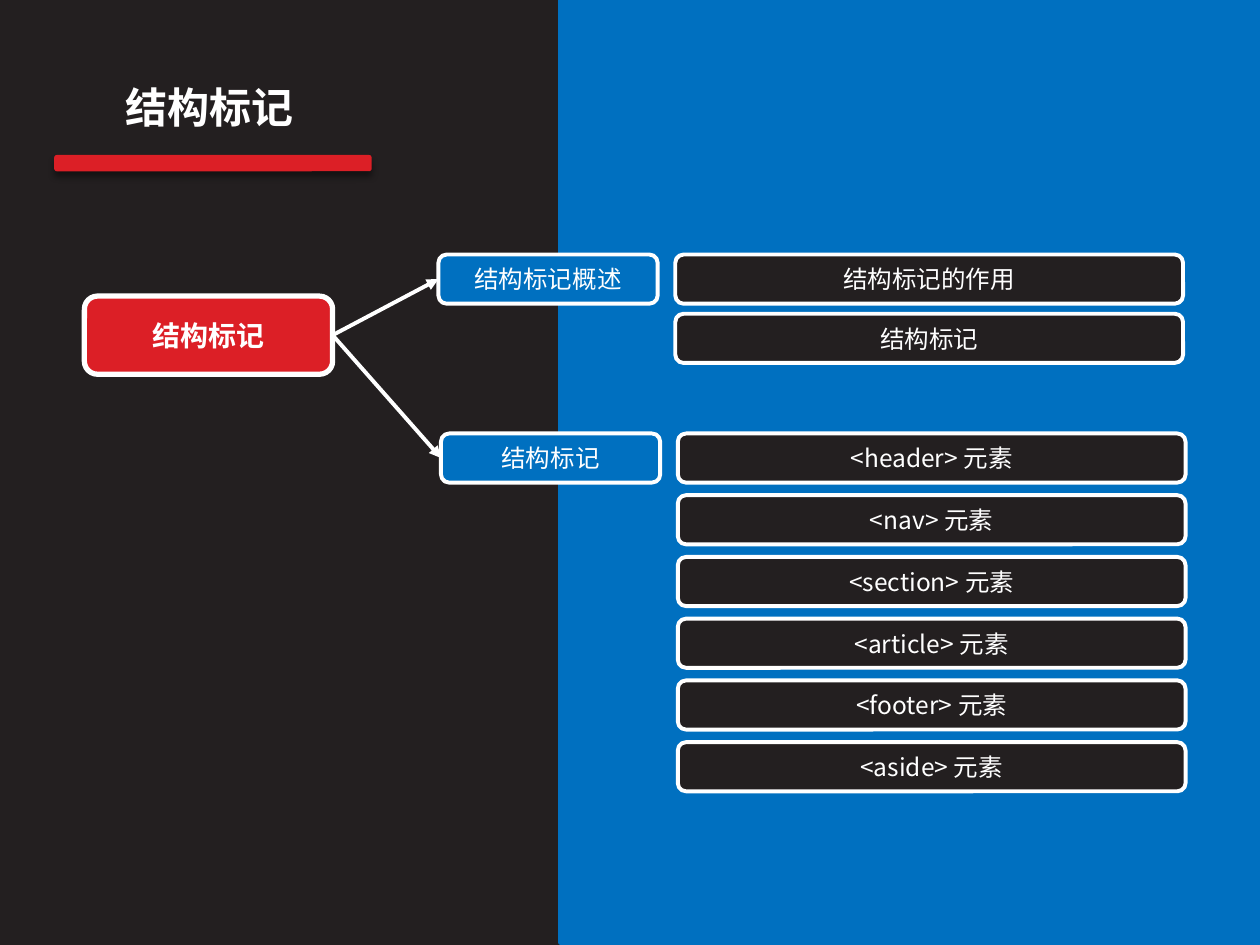
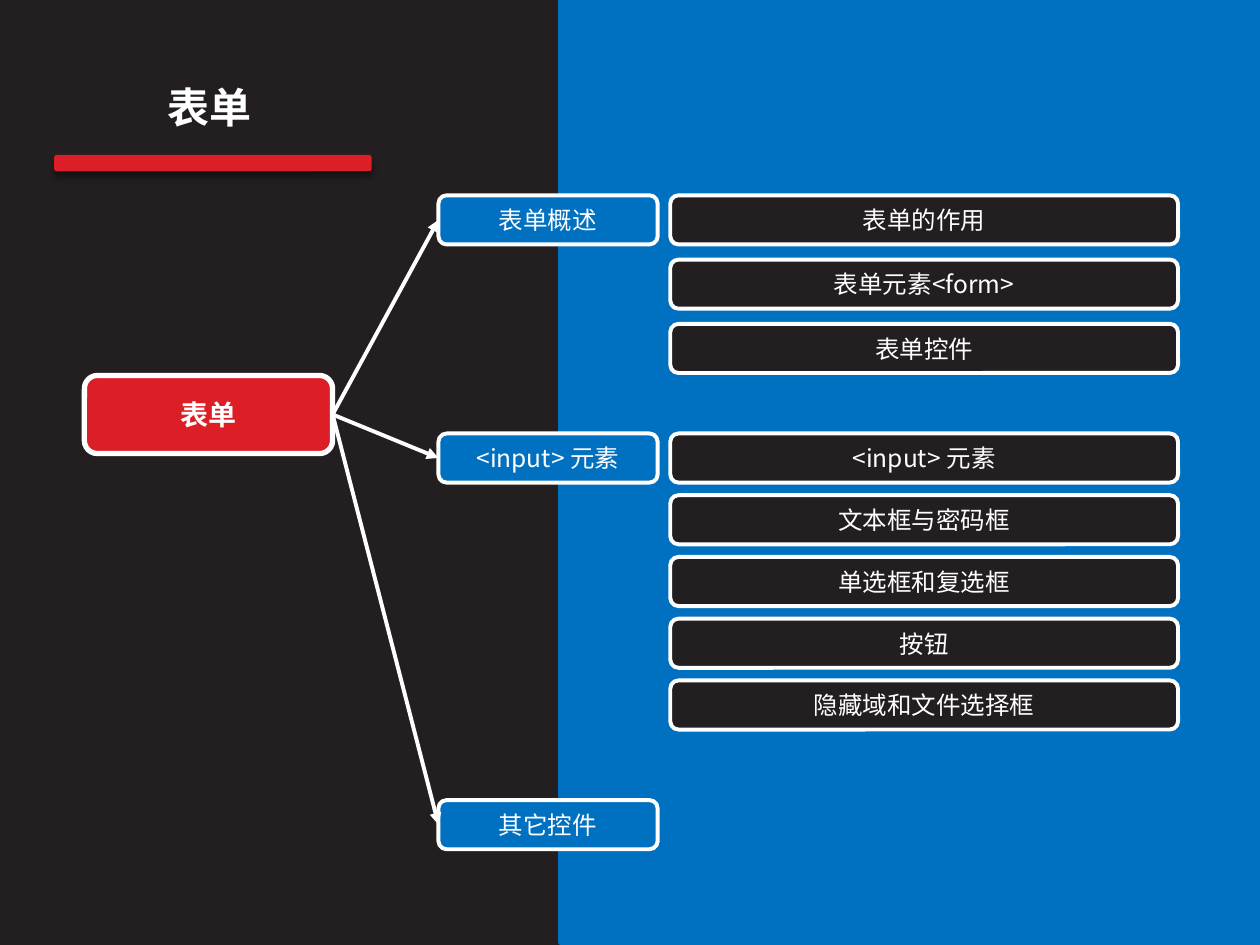
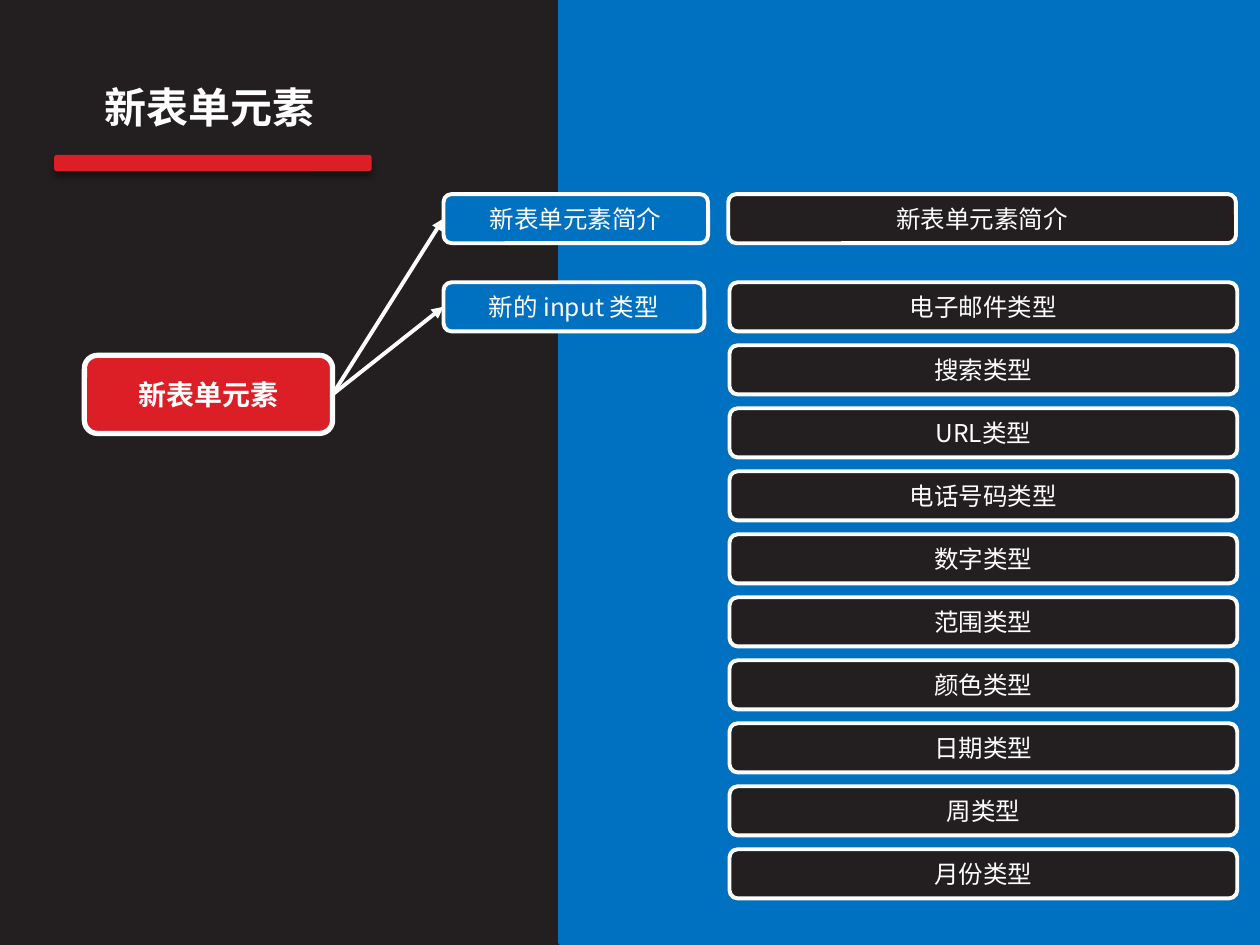
from dataclasses import dataclass

from lxml.etree import SubElement
from pptx import Presentation
from pptx.dml.color import RGBColor
from pptx.enum.shapes import MSO_CONNECTOR as Link, MSO_SHAPE as Shape
from pptx.enum.text import MSO_ANCHOR as Anchor, MSO_AUTO_SIZE as Fit, PP_ALIGN as Align
from pptx.oxml.ns import qn
from pptx.util import Inches, Pt

# Colours and fonts
DARK = RGBColor(0x23, 0x1F, 0x20)
BLUE = RGBColor(0x00, 0x70, 0xC0)
RED = RGBColor(0xDC, 0x1F, 0x26)
WHITE = RGBColor(0xFF, 0xFF, 0xFF)
FACE = "Noto Sans CJK SC"
LATIN = "Calibri"

# Sizes in inches
ROOT_X, ROOT_W, ROOT_H = 0.67, 1.97, 0.62
LEAF_W, ROW_H = 4.03, 0.39


@dataclass
class Branch:
    text: str
    x: float
    y: float
    width: float
    leaf_x: float = 0
    step: float = 0
    leaves: tuple = ()


class Deck:
    def __init__(self):
        self.prs = Presentation()
        self.prs.slide_width, self.prs.slide_height = Inches(10), Inches(7.5)
        fill = self.prs.slide_master.background.fill
        fill.solid()
        fill.fore_color.rgb = DARK
        self.slide = None

    def page(self, title):
        """Start a slide with its band, title and red bar."""
        self.slide = self.prs.slides.add_slide(self.prs.slide_layouts[5])
        self.shape(Shape.RECTANGLE, 4.45, 0, 5.55, 7.48, BLUE, BLUE, 3)
        head = self.slide.shapes.title
        head.left, head.top = Inches(0.28), Inches(0.6)
        head.width, head.height = Inches(2.77), Inches(0.71)
        head.text_frame.auto_size = Fit.NONE
        self.label(head, title, 24, True, Anchor.TOP)
        bar = self.shape(Shape.ROUNDED_RECTANGLE, 0.43, 1.23, 2.52, 0.13, RED)
        self.shade(bar)

    def shape(self, kind, x, y, w, h, fill, line=None, weight=0):
        item = self.slide.shapes.add_shape(
            kind, Inches(x), Inches(y), Inches(w), Inches(h))
        item.shadow.inherit = False
        item.fill.solid()
        item.fill.fore_color.rgb = fill
        if line is None:
            item.line.fill.background()
        else:
            item.line.color.rgb = line
            item.line.width = Pt(weight)
        return item

    def shade(self, item):
        """Cast a soft shadow straight down."""
        effects = item._element.spPr.find(qn("a:effectLst"))
        shadow = SubElement(effects, qn("a:outerShdw"), blurRad=str(Pt(4)),
                            dist=str(Pt(3)), dir="5400000", rotWithShape="0")
        color = SubElement(shadow, qn("a:srgbClr"), val="000000")
        SubElement(color, qn("a:alpha"), val="43000")

    def label(self, item, text, size, bold=False, anchor=Anchor.MIDDLE, face=FACE):
        frame = item.text_frame
        frame.word_wrap = True
        frame.vertical_anchor = anchor
        frame.text = text
        para = frame.paragraphs[0]
        para.alignment = Align.CENTER
        font = para.font
        font.name, font.size, font.bold = face, Pt(size), bold
        font.color.rgb = WHITE

    def root(self, text, y, face):
        item = self.shape(Shape.ROUNDED_RECTANGLE, ROOT_X, y, ROOT_W, ROOT_H,
                          RED, WHITE, 3)
        self.label(item, text, 16, True, face=face)
        return item

    def box(self, text, x, y, w, fill):
        item = self.shape(Shape.ROUNDED_RECTANGLE, x, y, w, ROW_H, fill, WHITE, 2.25)
        self.label(item, text, 14)
        return item

    def arrow(self, start, end):
        """Join the right side of one box to the left side of another."""
        link = self.slide.shapes.add_connector(Link.STRAIGHT, 0, 0, 0, 0)
        link.begin_connect(start, 3)
        link.end_connect(end, 1)
        link.line.color.rgb = WHITE
        link.line.width = Pt(2.25)
        props = link._element.spPr
        SubElement(props.find(qn("a:ln")), qn("a:tailEnd"), type="triangle")
        SubElement(props, qn("a:effectLst"))

    def tree(self, title, root_y, branches, face=FACE):
        """Draw a whole slide: root, branches and their leaves."""
        self.page(title)
        root = self.root(title, root_y, face)
        for b in branches:
            node = self.box(b.text, b.x, b.y, b.width, BLUE)
            self.arrow(root, node)
            for row, leaf in enumerate(b.leaves):
                self.box(leaf, b.leaf_x, b.y + row * b.step, LEAF_W, DARK)


def main():
    deck = Deck()

    # Structural markup
    deck.tree("结构标记", 2.35, [
        Branch("结构标记概述", 3.48, 2.02, 1.74, 5.36, 0.47,
               ("结构标记的作用", "结构标记")),
        Branch("结构标记", 3.5, 3.44, 1.74, 5.38, 0.49,
               [f"<{tag}> 元素" for tag in
                ("header", "nav", "section", "article", "footer", "aside")]),
    ], LATIN)

    # Forms
    deck.tree("表单", 2.98, [
        Branch("表单概述", 3.48, 1.55, 1.74, 5.32, 0.51,
               ("表单的作用", "表单元素<form>", "表单控件")),
        Branch("<input> 元素", 3.48, 3.44, 1.74, 5.32, 0.49,
               ("<input> 元素", "文本框与密码框", "单选框和复选框", "按钮",
                "隐藏域和文件选择框")),
        Branch("其它控件", 3.48, 6.35, 1.74),
    ])

    # New form elements
    kinds = ("电子邮件", "搜索", "URL", "电话号码", "数字", "范围", "颜色",
             "日期", "周", "月份")
    deck.tree("新表单元素", 2.82, [
        Branch("新表单元素简介", 3.52, 1.54, 2.1, 5.78, 0.5, ("新表单元素简介",)),
        Branch("新的 input 类型", 3.52, 2.24, 2.07, 5.79, 0.5,
               [f"{kind}类型" for kind in kinds]),
    ])

    deck.prs.save("out.pptx")


if __name__ == "__main__":
    main()
